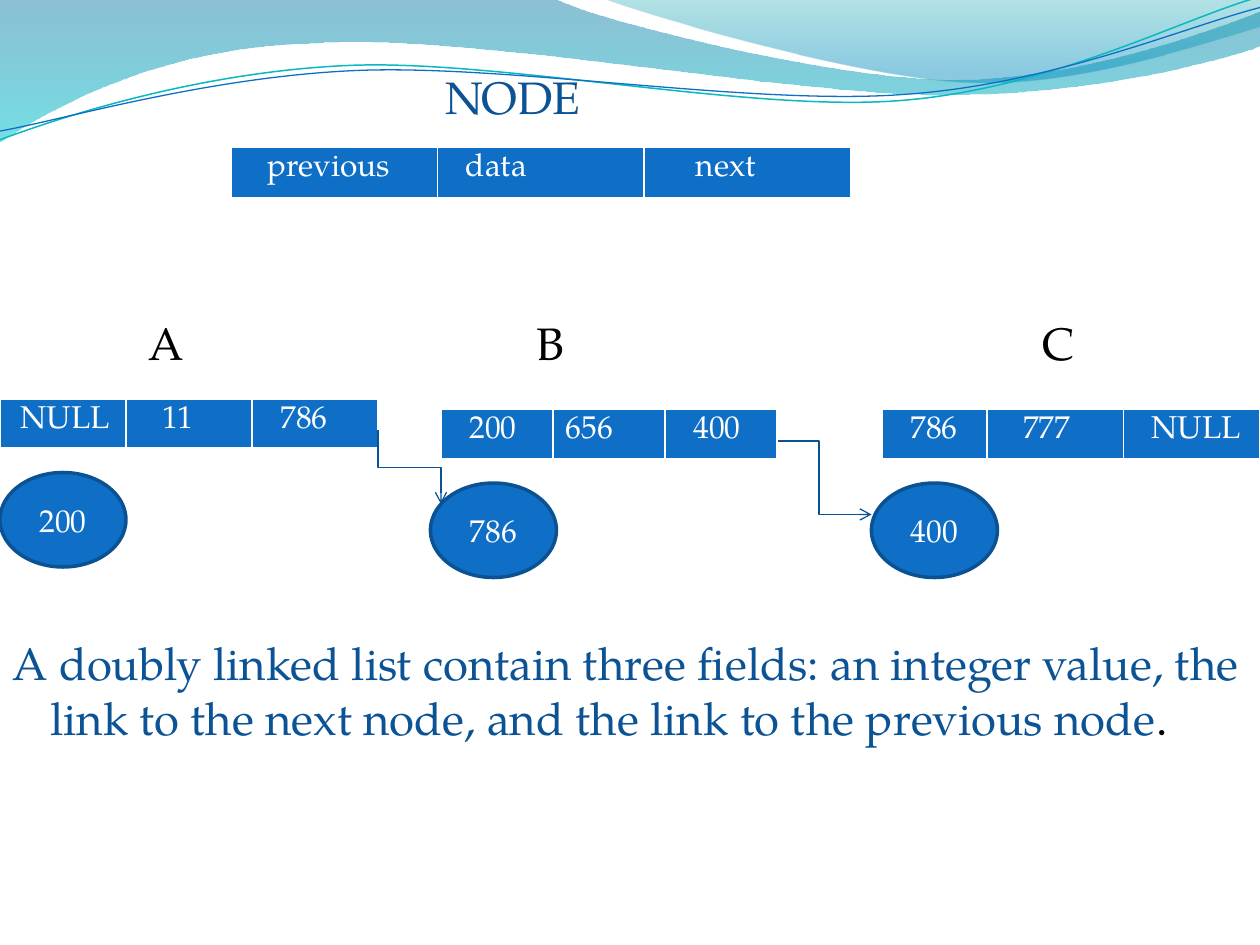
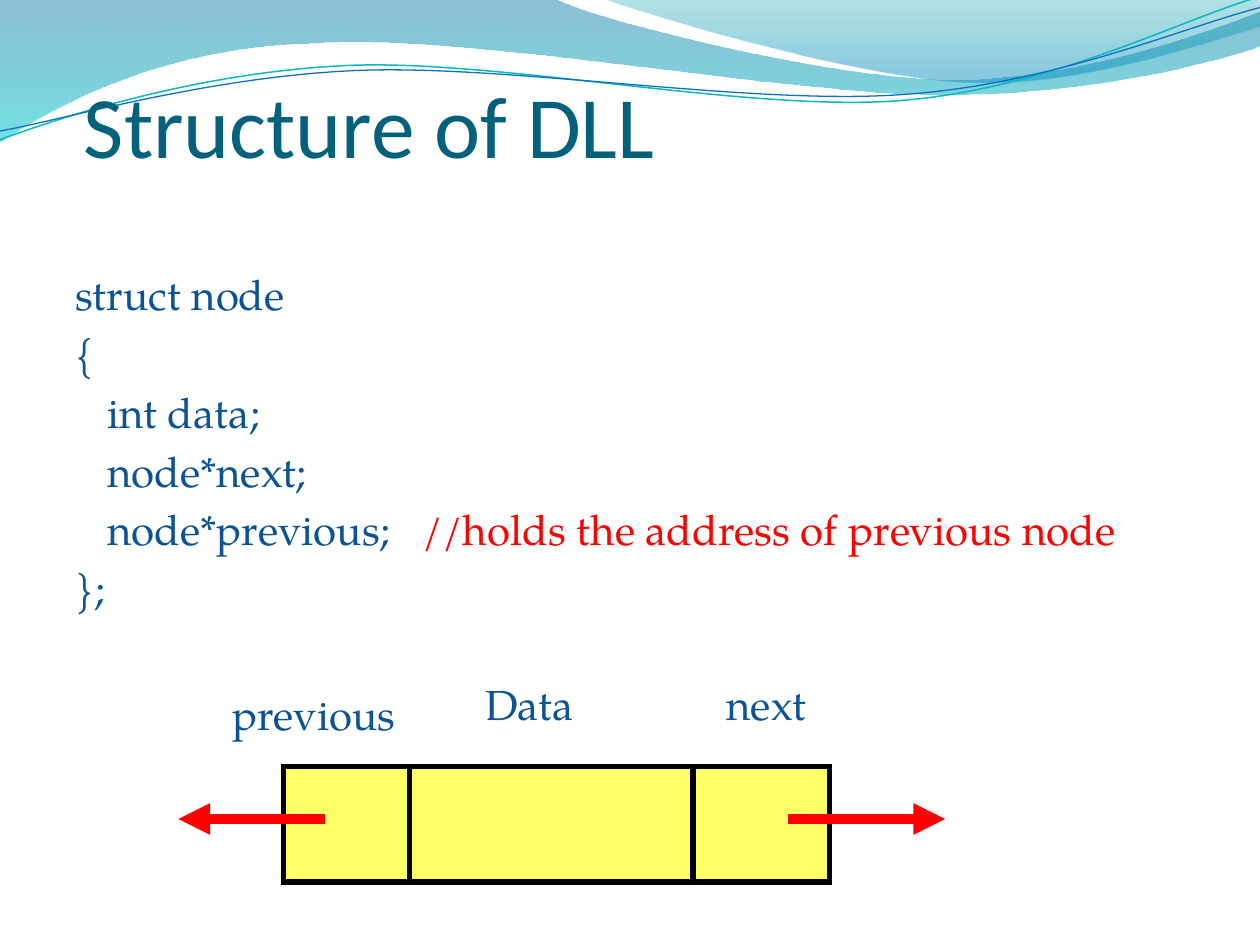
from lxml import etree
from pptx import Presentation
from pptx import util as u
from pptx.dml.color import RGBColor
from pptx.enum import shapes, text
from pptx.oxml.ns import qn

COLUMNS, ROWS = 120, 90
UNIT = u.Inches(10) / COLUMNS
SERIF, SANS = "TeX Gyre Pagella", "Calibri"
BLUE, NAVY, EDGE, TEAL = "0F6FC6", "0B5394", "0B5292", "04617B"
WHITE, BLACK, RED, YELLOW = "FFFFFF", "000000", "FF0000", "FFFF66"
SPACE = 0.75

BANDS = [
    ((0, 0), [
        [(4.4, -0.01)],
        [(4.76, 0.17), (6.64, 0.63), (7.58, 0.63)],
        [(8.53, 0.63), (9.58, 0.26), (10, 0.09)],
        [(10.01, 0.36)],
        [(9.83, 0.44), (8.7, 0.76), (7.46, 0.75)],
        [(6.22, 0.75), (3.82, 0.28), (2.57, 0.34)],
        [(1.29, 0.36), (0.46, 0.83), (-0.01, 1.13)],
        [(0, 0)],
    ], [(0, "0074A1", 45), (1, "00C6CF", 55)]),
    ((4.79, -0.01), [
        [(5.09, 0.11), (6.82, 0.62), (7.69, 0.65)],
        [(8.56, 0.69), (9.61, 0.32), (10, 0.21)],
        [(10, 0)],
        [(4.79, -0.01)],
    ], [(0, "00A1A9", 30), (0.8, "008BBF", 45)]),
]
WAVES = [
    ((0, 1.11), [
        [(0.48, 0.93), (1.58, 0.57), (2.77, 0.52)],
        [(3.95, 0.47), (5.93, 0.89), (7.13, 0.8)],
        [(8.33, 0.71), (9.38, 0.15), (9.98, -0.02)],
    ], "0AB8BF", 0.85),
    ((0, 1.04), [
        [(0.47, 0.96), (1.64, 0.61), (2.83, 0.56)],
        [(4.03, 0.51), (5.97, 0.84), (7.17, 0.75)],
        [(8.36, 0.67), (9.41, 0.21), (10, 0.06)],
    ], BLUE, 0.75),
]


def rgb(code):
    """Turn a hex string into a colour."""
    return RGBColor.from_string(code)


def grid(*cells):
    """Turn grid counts into lengths."""
    return [u.Emu(round(count * UNIT)) for count in cells]


def assign(target, values):
    """Set every attribute named in a dict."""
    for name, value in values.items():
        setattr(target, name, value)


def outline(slide, start, segments, close):
    """Draw a freeform whose three-point segments are Bezier curves."""
    first, *rest = [(u.Inches(x), u.Inches(y))
                    for x, y in [start, *(point for part in segments for point in part)]]
    builder = slide.shapes.build_freeform(*first)
    builder.add_line_segments(rest, close=close)
    curve = builder.convert_to_shape()
    curve.shadow.inherit = False
    steps = iter(list(curve._element.spPr.iter(qn("a:lnTo"))))
    for segment in segments:
        step = next(steps)
        if len(segment) == 3:
            step.addprevious(bezier := etree.Element(qn("a:cubicBezTo")))
            for corner in (step, next(steps), next(steps)):
                bezier.append(corner[0])
                corner.getparent().remove(corner)
    return curve


def add_header(slide):
    """Draw the gradient bands and thin waves every slide shares."""
    for start, segments, stops in BANDS:
        band = outline(slide, start, segments, True)
        band.line.fill.background()
        band.fill.gradient()
        band.fill.gradient_angle = 270
        for stop, (position, code, _) in zip(band.fill.gradient_stops, stops):
            stop.position = position
            stop.color.rgb = rgb(code)
        colours = list(band._element.spPr.iter(qn("a:srgbClr")))
        for colour, (_, _, opacity) in zip(colours, stops):
            etree.SubElement(colour, qn("a:alpha"), val=str(opacity * 1000))
    for start, segments, code, width in WAVES:
        wave = outline(slide, start, segments, False)
        wave.fill.background()
        wave.line.color.rgb = rgb(code)
        wave.line.width = u.Pt(width)


def write(paragraph, runs, size, font=SERIF):
    """Fill a paragraph with (words, colour) runs."""
    for words, code in runs:
        run = paragraph.add_run()
        run.text = words
        assign(run.font, {"size": u.Pt(size), "name": font})
        run.font.color.rgb = rgb(code)


def add_text(slide, place, lines, size, font=SERIF, anchor=text.MSO_ANCHOR.TOP):
    """Add a text box without insets, one paragraph per list of runs."""
    frame = slide.shapes.add_textbox(*grid(*place)).text_frame
    assign(frame, {"margin_left": 0, "margin_right": 0, "margin_top": 0,
                   "margin_bottom": 0, "word_wrap": True, "vertical_anchor": anchor})
    for index, runs in enumerate(lines):
        paragraph = frame.paragraphs[0] if index == 0 else frame.add_paragraph()
        if index:
            paragraph.space_before = u.Pt(size * 0.2)
        write(paragraph, runs, size, font)
    return frame.paragraphs


def set_tabs(paragraph, *stops):
    """Give a paragraph left tab stops at grid columns."""
    tabs = etree.SubElement(paragraph._p.get_or_add_pPr(), qn("a:tabLst"))
    for stop in grid(*stops):
        etree.SubElement(tabs, qn("a:tab"), pos=str(stop), algn="l")


def add_node(slide, left, top, height, widths, fields):
    """Add a one-row table of (words, spaces of indent) fields."""
    place = grid(left, top, sum(widths), height)
    node = slide.shapes.add_table(1, len(fields), *place).table
    for column, width in zip(node.columns, widths):
        column.width = grid(width)[0]
    for cell, (words, indent) in zip(node.rows[0].cells, fields):
        properties = cell._tc.get_or_add_tcPr()
        for side, points in (("lnL", 1), ("lnR", 1), ("lnT", 1), ("lnB", 3)):
            border = etree.SubElement(properties, qn(f"a:{side}"), w=str(u.Pt(points)))
            fill = etree.SubElement(border, qn("a:solidFill"))
            etree.SubElement(fill, qn("a:srgbClr"), val=WHITE)
        cell.fill.solid()
        cell.fill.fore_color.rgb = rgb(BLUE)
        cell.margin_left = grid(1.2 + indent * SPACE)[0]
        write(cell.text_frame.paragraphs[0], [(words, WHITE)], 18)


def add_block(slide, kind, place, fill, edge, points):
    """Add a filled and outlined preset shape."""
    block = slide.shapes.add_shape(kind, *grid(*place))
    block.shadow.inherit = False
    block.fill.solid()
    block.fill.fore_color.rgb = rgb(fill)
    block.line.color.rgb = rgb(edge)
    block.line.width = u.Pt(points)
    etree.SubElement(block.line._get_or_add_ln(), qn("a:miter"), lim="800000")
    return block


def add_address(slide, left, top, words):
    """Add the ellipse that holds the address of a node."""
    address = add_block(slide, shapes.MSO_SHAPE.OVAL, (left, top, 12, 9), BLUE, EDGE, 2)
    address.text_frame.vertical_anchor = text.MSO_ANCHOR.MIDDLE
    paragraph = address.text_frame.paragraphs[0]
    paragraph.alignment = text.PP_ALIGN.CENTER
    write(paragraph, [(words, WHITE)], 18)


def add_link(slide, ends, code, points, tail=None, kind=shapes.MSO_CONNECTOR.STRAIGHT):
    """Add a connector, with an arrowhead at its end if asked."""
    link = slide.shapes.add_connector(kind, *grid(*ends))
    link.line.color.rgb = rgb(code)
    link.line.width = u.Pt(points)
    if tail:
        etree.SubElement(link.line._get_or_add_ln(), qn("a:tailEnd"), type=tail)
    etree.SubElement(link._element.spPr, qn("a:effectLst"))
    return link


def add_pointer(slide, left, top, right, bottom, downward=False):
    """Add an elbow arrow; a downward one leaves and arrives vertically."""
    ends = (left, top, right, bottom)
    if downward:
        x, y = (left + right) / 2, (top + bottom) / 2
        half_width, half_height = (bottom - top) / 2, (right - left) / 2
        ends = (x - half_width, y - half_height, x + half_width, y + half_height)
    pointer = add_link(slide, ends, "095295", 0.75, "arrow", shapes.MSO_CONNECTOR.ELBOW)
    if downward:
        frame = pointer._element.spPr.find(qn("a:xfrm"))
        frame.set("rot", str(270 * 60000))
        frame.set("flipH", "1")


def build_node_slide(slide):
    """Show a node and three linked nodes."""
    title, names, summary = add_text(slide, (1.2, 6.6, COLUMNS - 2.4, 65), [
        [("\tNODE", NAVY)],
        [("\tA\tB\tC", BLACK)],
        [("A doubly linked list contain three fields: an integer value, the link to "
          "the next node, and the link to the previous node", NAVY), (".", BLACK)],
    ], 26)
    names.space_before, summary.space_before = u.Pt(109.5), u.Pt(151.5)
    set_tabs(title, 41.2)
    set_tabs(names, 12.9, 49.9, 98.1)
    indent = grid(3.6)[0]
    for name, value in (("marL", indent), ("indent", -indent)):
        summary._p.get_or_add_pPr().set(name, str(value))
    add_node(slide, 22, 14, 4.95, [19.67] * 3, [("previous", 3), ("data", 2), ("next", 5)])
    add_node(slide, 0, 38, 4, [12] * 3, [("NULL", 1), ("11", 3), ("786", 2)])
    add_pointer(slide, 73, 42, 83, 49)
    for left, top, words in ((41, 46, "786"), (0, 45, "200"), (83, 46, "400")):
        add_address(slide, left, top, words)
    add_node(slide, 42, 39, 4, [10.67] * 3, [("200", 2), ("656", 0), ("400", 2)])
    add_node(slide, 84, 39, 4, [10, 13, 13], [("786", 2), ("777", 3), ("NULL", 2)])
    add_pointer(slide, 36, 41, 42, 48, downward=True)


def build_structure_slide(slide):
    """Show the struct and the three parts of its memory."""
    add_text(slide, (8, 5.6, 108, 11.2), [[("Structure of DLL", TEAL)]], 50, SANS,
             text.MSO_ANCHOR.BOTTOM)
    code = ["struct node", "{", "   int data;", "   node*next;",
            "   node*previous;   ", "};"]
    lines = [[(line, NAVY)] for line in code]
    lines[4].append(("//holds the address of previous node", RED))
    add_text(slide, (7.2, 25.6, 104, 34), lines, 24)
    add_block(slide, shapes.MSO_SHAPE.RECTANGLE, (27, 73, 52, 11), YELLOW, BLACK, 3)
    for divider in (39, 66):
        add_link(slide, (divider, 73, divider, 84), BLACK, 3)
    for words, left, top in (("Data", 46.2, 64.6), ("next", 69.2, 64.6),
                             ("previous", 22.1, 65.6)):
        add_text(slide, (left, top, 18, 5), [[(words, NAVY)]], 24)
    for start, end in ((31, 17), (75, 90)):
        add_link(slide, (start, 78, end, 78), RED, 6, "triangle")


def main():
    """Build both slides and save them."""
    deck = Presentation()
    deck.slide_width, deck.slide_height = grid(COLUMNS, ROWS)
    for build in (build_node_slide, build_structure_slide):
        slide = deck.slides.add_slide(deck.slide_layouts[6])
        add_header(slide)
        build(slide)
    deck.save("out.pptx")


if __name__ == "__main__":
    main()
